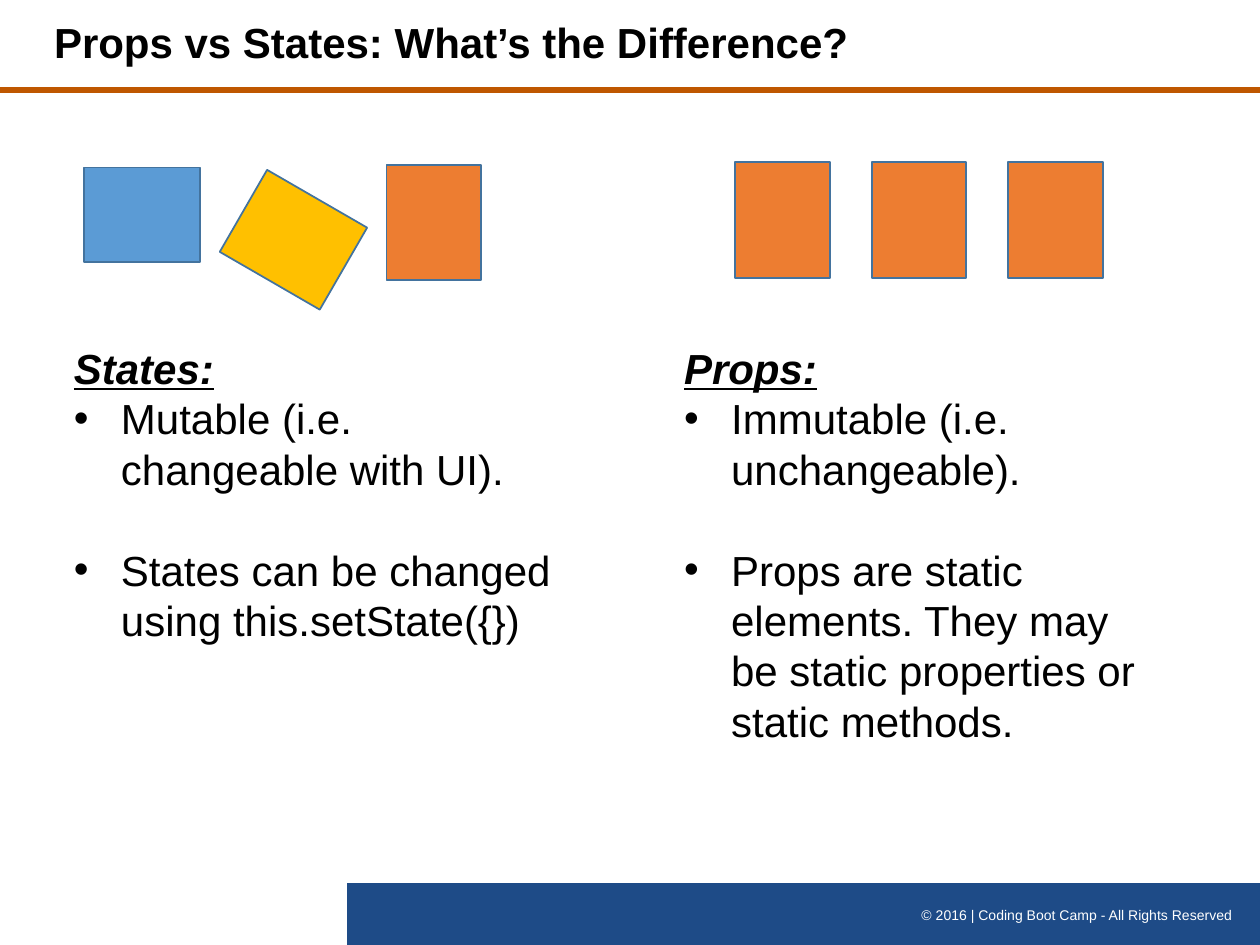
from pptx import Presentation
from pptx.dml.color import RGBColor
from pptx.enum.shapes import MSO_CONNECTOR, MSO_SHAPE
from pptx.enum.text import MSO_ANCHOR, PP_ALIGN
from pptx.oxml.ns import qn
from pptx.util import Cm, Pt
from lxml.etree import SubElement

TITLE = "Props vs States: What’s the Difference?"
FOOTER = "© 2016 | Coding Boot Camp - All Rights Reserved"
COLUMNS = [
    (1.24, 7.44, "States:", [
        "Mutable (i.e. changeable with UI).",
        "States can be changed using this.setState({})"]),
    (13.54, 8.46, "Props:", [
        "Immutable (i.e. unchangeable).",
        "Props are static elements. They may be static properties or static methods."]),
]
BLUE, GOLD, ORANGE = "5B9BD5", "FFC000", "ED7D31"
STATES = [(1.7, 3.38, 0, BLUE), (4.75, 3.88, 30, GOLD), (7.58, 3.53, 90, ORANGE)]
PROPS = [(14.61 + 2.75 * i, 3.48, 90, ORANGE) for i in range(3)]
LEAD = Pt(28.8)


def color(code):
    return RGBColor.from_string(code)


def box(left, top, width, height, anchor=MSO_ANCHOR.TOP):
    frame = slide.shapes.add_textbox(Cm(left), Cm(top), Cm(width), Cm(height)).text_frame
    frame.word_wrap = True
    frame.vertical_anchor = anchor
    return frame


def write(frame, text, size=24, ink="000000", bold=False, italic=False,
          under=False, align=PP_ALIGN.LEFT, lead=None, after=0, bullet=False):
    para = frame.paragraphs[0]
    if para.runs:
        para = frame.add_paragraph()
    para.alignment = align
    para.line_spacing = lead
    para.space_after = after
    if bullet:
        props = para._p.get_or_add_pPr()
        props.set("marL", str(Cm(0.95)))
        props.set("indent", str(-Cm(0.95)))
        SubElement(props, qn("a:buFont")).set("typeface", "Arial")
        SubElement(props, qn("a:buChar")).set("char", "•")
    run = para.add_run()
    run.text = text
    font = run.font
    font.name, font.size = "Arial", Pt(size)
    font.bold, font.italic, font.underline = bold, italic, under
    font.color.rgb = color(ink)


def block(kind, left, top, width, height, fill, edge=None, turn=0):
    shape = slide.shapes.add_shape(kind, Cm(left), Cm(top), Cm(width), Cm(height))
    shape.shadow.inherit = False
    shape.rotation = turn
    shape.fill.solid()
    shape.fill.fore_color.rgb = color(fill)
    if edge:
        shape.line.color.rgb = color(edge)
        shape.line.width = Pt(1)
    else:
        shape.line.fill.background()


deck = Presentation()
deck.slide_width, deck.slide_height = Cm(25.4), Cm(19.05)
slide = deck.slides.add_slide(deck.slide_layouts[6])

block(MSO_SHAPE.FLOWCHART_PROCESS, 6.99, 17.8, 18.41, 1.25, "1E4B87")
rule = slide.shapes.add_connector(MSO_CONNECTOR.STRAIGHT, 0, Cm(1.82), Cm(25.4), Cm(1.82))
rule.line.color.rgb = color("BF5700")
rule.line.width = Pt(3.25)
SubElement(rule._element.spPr, qn("a:effectLst"))

write(box(17.35, 18.16, 7.75, 0.6), FOOTER, size=8, ink="FFFFFF", align=PP_ALIGN.RIGHT)
write(box(0.84, 0, 17.15, 1.82, MSO_ANCHOR.MIDDLE), TITLE, bold=True, lead=0.9)

for left, height, head, points in COLUMNS:
    frame = box(left, 6.78, 10.19, height)
    write(frame, head, bold=True, italic=True, under=True, lead=LEAD)
    for point in points:
        gap = 0 if point == points[-1] else LEAD
        write(frame, point, lead=LEAD, after=gap, bullet=True)

for left, top, turn, fill in STATES + PROPS:
    block(MSO_SHAPE.RECTANGLE, left, top, 2.33, 1.91, fill, "43739E", turn)

deck.save("out.pptx")
